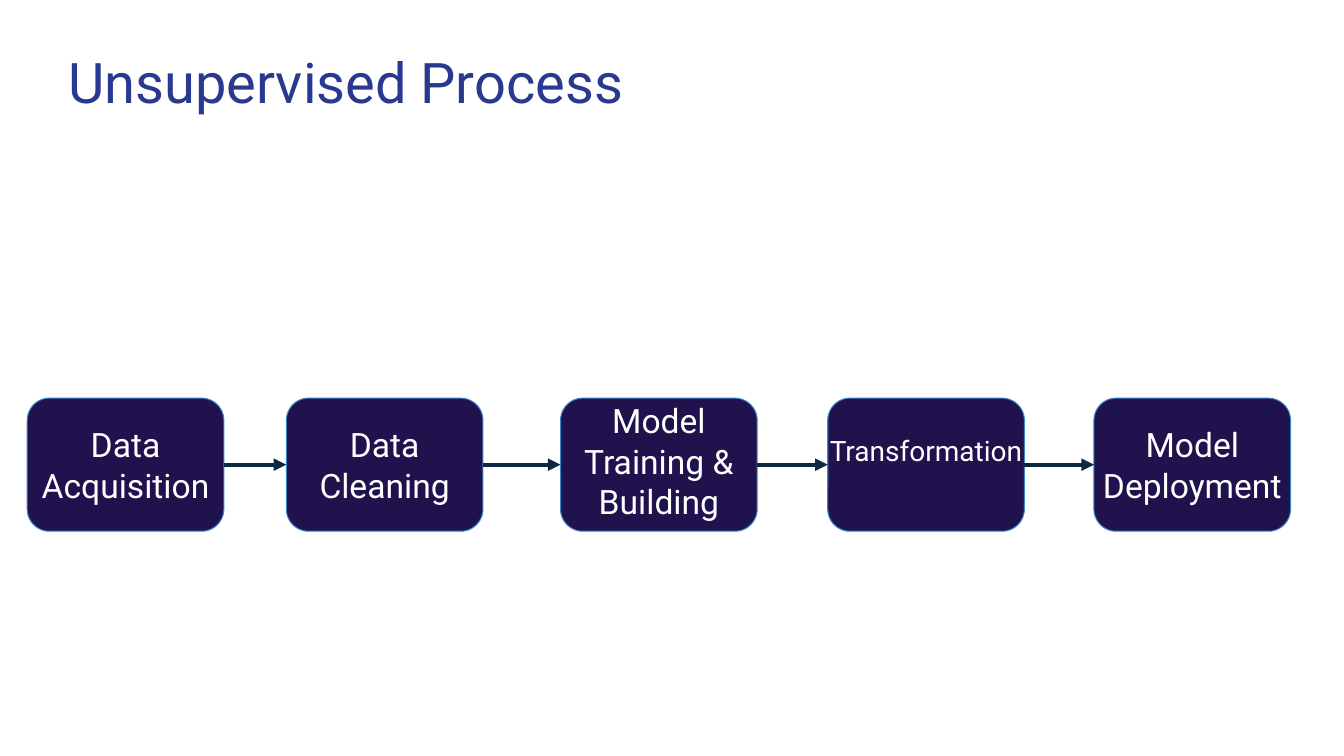
from pptx import Presentation
from pptx.dml.color import RGBColor
from pptx.enum.shapes import MSO_CONNECTOR, MSO_SHAPE
from pptx.enum.text import MSO_ANCHOR, MSO_AUTO_SIZE, PP_ALIGN
from pptx.oxml.ns import qn
from pptx.util import Inches, Pt
from lxml.etree import SubElement

COLORS = {"title": "2A3990", "box": "20124D", "border": "3D85C6",
          "arrow": "0E2841", "label": "FFFFFF"}
BOX_TOP, BOX_WIDTH, BOX_HEIGHT = 3.95, 1.95, 1.32
TEXT_HEIGHT = 0.89
RIGHT_SIDE, LEFT_SIDE = 3, 1

# Each step: box left, label top, label width, font size, label
STEPS = [
    (0.27, 4.08, 1.95, 24, "Data\nAcquisition"),
    (2.84, 4.08, 1.95, 24, "Data\nCleaning"),
    (5.56, 3.84, 1.95, 24, "Model\nTraining &\nBuilding"),
    (8.21, 4.17, 2.46, 20, "Transformation"),
    (10.85, 4.08, 2.08, 24, "Model\nDeployment"),
]


def color(name):
    return RGBColor.from_string(COLORS[name])


class ProcessSlide:
    font = "Roboto"
    inset = Inches(0.13)

    def __init__(self, presentation):
        self.slide = presentation.slides.add_slide(presentation.slide_layouts[5])

    def style_text(self, frame, text, size, color_name, align):
        frame.word_wrap = True
        frame.auto_size = MSO_AUTO_SIZE.NONE
        frame.vertical_anchor = MSO_ANCHOR.TOP
        frame.margin_left = frame.margin_right = self.inset
        frame.margin_top = frame.margin_bottom = self.inset
        frame.text = text
        for paragraph in frame.paragraphs:
            paragraph.alignment = align
            for run in paragraph.runs:
                run.font.name = self.font
                run.font.size = Pt(size)
                run.font.color.rgb = color(color_name)

    def title(self, text, left, top, width):
        heading = self.slide.shapes.title
        heading.left, heading.top = Inches(left), Inches(top)
        heading.width, heading.height = Inches(width), Inches(TEXT_HEIGHT)
        self.style_text(heading.text_frame, text, 40, "title", PP_ALIGN.LEFT)

    def box(self, left):
        step = self.slide.shapes.add_shape(
            MSO_SHAPE.ROUNDED_RECTANGLE, Inches(left), Inches(BOX_TOP),
            Inches(BOX_WIDTH), Inches(BOX_HEIGHT))
        step.shadow.inherit = False
        step.fill.solid()
        step.fill.fore_color.rgb = color("box")
        step.line.color.rgb = color("border")
        step.line.width = Pt(0.75)
        return step

    def arrow(self, source, target):
        link = self.slide.shapes.add_connector(MSO_CONNECTOR.STRAIGHT, 0, 0, 0, 0)
        link.begin_connect(source, RIGHT_SIDE)
        link.end_connect(target, LEFT_SIDE)
        link.line.color.rgb = color("arrow")
        link.line.width = Pt(3)
        properties = link._element.spPr
        SubElement(properties.find(qn("a:ln")), qn("a:tailEnd"), type="triangle")
        SubElement(properties, qn("a:effectLst"))

    def label(self, text, center, top, width, size):
        caption = self.slide.shapes.add_textbox(
            Inches(center - width / 2), Inches(top),
            Inches(width), Inches(TEXT_HEIGHT))
        self.style_text(caption.text_frame, text, size, "label", PP_ALIGN.CENTER)


def main():
    presentation = Presentation()
    presentation.slide_width = Inches(13.33)
    presentation.slide_height = Inches(7.5)
    process = ProcessSlide(presentation)

    # Heading
    process.title("Unsupervised Process", 0.55, 0.34, 12.42)

    # Boxes joined by arrows
    boxes = [process.box(left) for left, *_ in STEPS]
    for source, target in zip(boxes, boxes[1:]):
        process.arrow(source, target)

    # Labels centred over their boxes
    for left, top, width, size, text in STEPS:
        process.label(text, left + BOX_WIDTH / 2, top, width, size)

    presentation.save("out.pptx")


if __name__ == "__main__":
    main()
